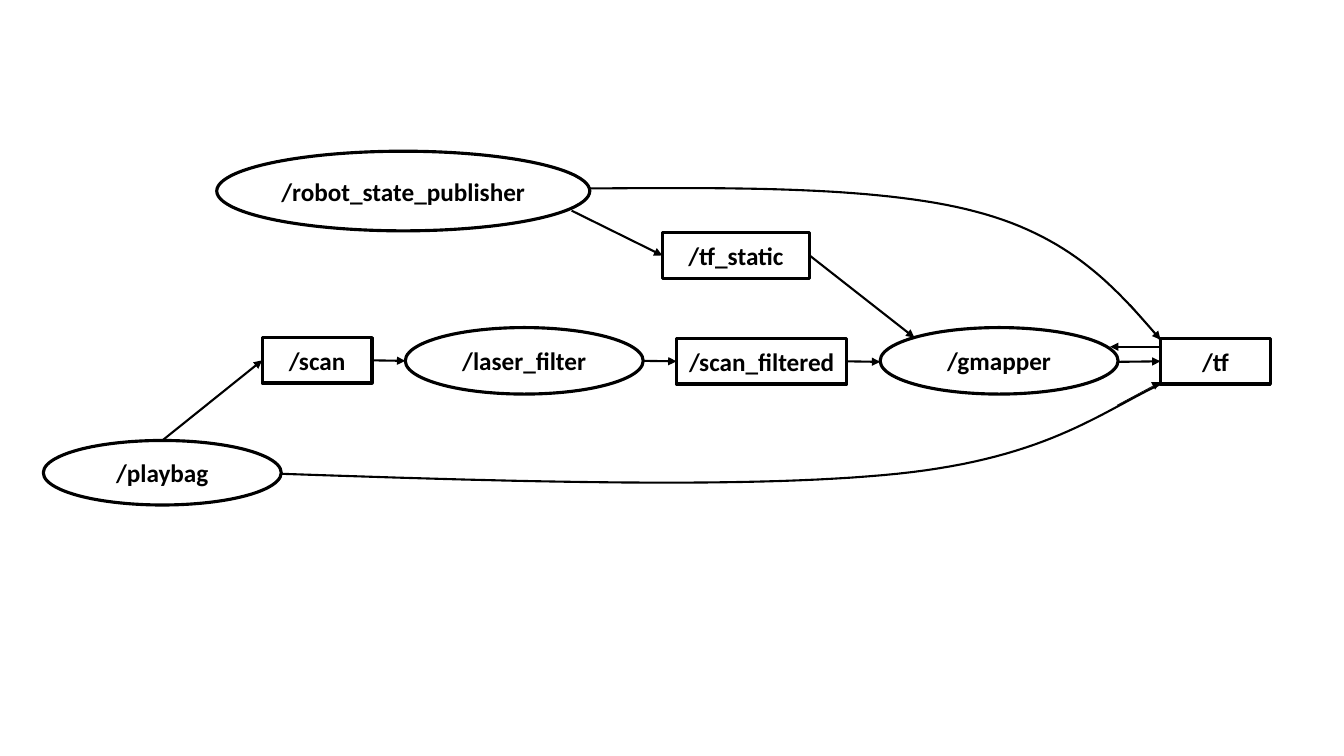
from dataclasses import dataclass
from typing import Optional

from pptx import Presentation
from pptx.dml.color import RGBColor
from pptx.enum.shapes import MSO_CONNECTOR, MSO_SHAPE
from pptx.enum.text import MSO_ANCHOR, PP_ALIGN
from pptx.oxml.ns import qn
from pptx.shapes.autoshape import Shape
from pptx.slide import Slide
from pptx.util import Inches, Pt
from lxml.etree import SubElement

BLACK = RGBColor(0x00, 0x00, 0x00)
WHITE = RGBColor(0xFF, 0xFF, 0xFF)
FONT = "Calibri"
LEFT, RIGHT = 1, 3
CURVE_STEPS = 30

Point = tuple[float, float]


@dataclass(frozen=True)
class Box:
    name: str
    left: float
    top: float
    width: float
    height: float
    kind: MSO_SHAPE


@dataclass(frozen=True)
class Arrow:
    start: Point
    end: Point
    source: Optional[str] = None  # topic joined at its right side
    target: Optional[str] = None  # topic joined at its left side
    weight: float = 1.5


def node(name: str, left: float, top: float, width: float = 2.36, height: float = 0.66) -> Box:
    return Box(name, left, top, width, height, MSO_SHAPE.OVAL)


def topic(name: str, left: float, top: float, width: float = 1.09) -> Box:
    return Box(name, left, top, width, 0.45, MSO_SHAPE.RECTANGLE)


BOXES = [
    node("/robot_state_publisher", 2.15, 1.5, 3.7, 0.79),
    node("/gmapper", 8.73, 3.25),
    node("/laser_filter", 4.02, 3.25),
    node("/playbag", 0.43, 4.37, height=0.64),
    topic("/tf_static", 6.57, 2.31, 1.46),
    topic("/scan_filtered", 6.71, 3.36, 1.69),
    topic("/tf", 11.51, 3.36),
    topic("/scan", 2.6, 3.35),
]

ARROWS = [
    Arrow((5.67, 2.09), (6.57, 2.54), target="/tf_static"),
    Arrow((3.69, 3.58), (4.02, 3.58), source="/scan"),
    Arrow((6.38, 3.58), (6.71, 3.58), target="/scan_filtered"),
    Arrow((8.4, 3.58), (8.73, 3.59), source="/scan_filtered"),
    Arrow((11.08, 3.59), (11.51, 3.58), target="/tf"),
    Arrow((1.61, 4.37), (2.6, 3.58), target="/scan"),
    Arrow((8.03, 2.54), (9.07, 3.35), source="/tf_static"),
    Arrow((11.51, 3.44), (11.01, 3.44)),
    # Thin arrows that finish the two curves
    Arrow((11.08, 4.02), (11.51, 3.79), weight=0.5),
    Arrow((11.21, 3.02), (11.51, 3.37), weight=0.5),
]

# Each curve: a start point, then three Bezier points per segment
CURVES: list[list[Point]] = [
    [(5.85, 1.87), (7.3, 1.86), (8.74, 1.85), (9.68, 2.1),
     (10.63, 2.35), (11.07, 2.86), (11.51, 3.37)],
    [(2.78, 4.7), (5.11, 4.78), (7.44, 4.85), (8.9, 4.7),
     (10.35, 4.55), (10.89, 4.11), (11.51, 3.81)],
]


def draw_box(page: Slide, box: Box) -> Shape:
    shape = page.shapes.add_shape(
        box.kind, Inches(box.left), Inches(box.top), Inches(box.width), Inches(box.height))
    shape.shadow.inherit = False
    shape.fill.solid()
    shape.fill.fore_color.rgb = WHITE
    shape.line.color.rgb = BLACK
    shape.line.width = Pt(2.25)
    frame = shape.text_frame
    frame.word_wrap = True
    frame.vertical_anchor = MSO_ANCHOR.MIDDLE
    para = frame.paragraphs[0]
    para.alignment = PP_ALIGN.CENTER
    span = para.add_run()
    span.text = box.name
    span.font.name = FONT
    span.font.size = Pt(18)
    span.font.bold = True
    span.font.color.rgb = BLACK
    return shape


def draw_arrow(page: Slide, arrow: Arrow, shapes: dict[str, Shape]) -> None:
    connector = page.shapes.add_connector(
        MSO_CONNECTOR.STRAIGHT, *map(Inches, arrow.start + arrow.end))
    if arrow.source:
        connector.begin_connect(shapes[arrow.source], RIGHT)
    if arrow.target:
        connector.end_connect(shapes[arrow.target], LEFT)
    connector.line.color.rgb = BLACK
    connector.line.width = Pt(arrow.weight)
    SubElement(connector.line._get_or_add_ln(), qn("a:tailEnd"), type="triangle")
    SubElement(connector._element.spPr, qn("a:effectLst"))


def bezier(points: list[Point], t: float) -> Point:
    weights = ((1 - t) ** 3, 3 * t * (1 - t) ** 2, 3 * t ** 2 * (1 - t), t ** 3)
    x, y = (sum(w * p[axis] for w, p in zip(weights, points)) for axis in (0, 1))
    return Inches(x), Inches(y)


def draw_curve(page: Slide, points: list[Point]) -> None:
    traced = [bezier(points[first:first + 4], step / CURVE_STEPS)
              for first in range(0, len(points) - 1, 3)
              for step in range(1, CURVE_STEPS + 1)]
    builder = page.shapes.build_freeform(*map(Inches, points[0]))
    builder.add_line_segments(traced, close=False)
    curve = builder.convert_to_shape()
    curve.shadow.inherit = False
    curve.fill.background()
    curve.line.color.rgb = BLACK
    curve.line.width = Pt(1.5)


def main() -> None:
    deck = Presentation()
    deck.slide_width, deck.slide_height = Inches(13.33), Inches(7.5)
    page = deck.slides.add_slide(deck.slide_layouts[6])

    # Nodes and topics
    shapes = {box.name: draw_box(page, box) for box in BOXES}

    # Message flow
    for points in CURVES:
        draw_curve(page, points)
    for arrow in ARROWS:
        draw_arrow(page, arrow, shapes)

    deck.save("out.pptx")


if __name__ == "__main__":
    main()
